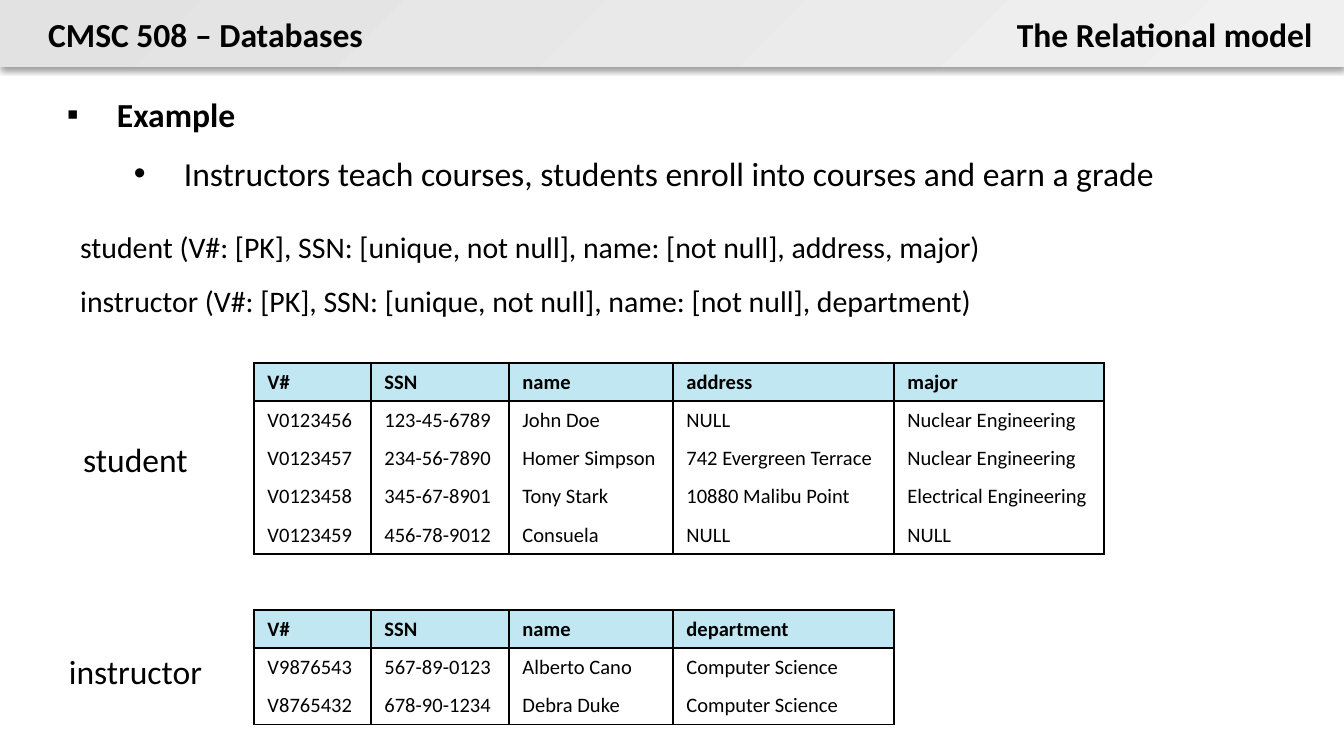
import lxml.etree
import pptx
import pptx.dml.color
import pptx.enum.shapes
import pptx.enum.text
import pptx.oxml.ns
import pptx.util

EMU_PER_PX = 914400 / 134.4
BLACK = "000000"
WHITE = "FFFFFF"
HEADER_BLUE = "C1E8F2"
COLUMN_WIDTHS = [117, 138, 164, 221, 210]
ROW_HEIGHT = 38
TABLE_LEFT = 254

STUDENTS = [
    ["V#", "SSN", "name", "address", "major"],
    ["V0123456", "123-45-6789", "John Doe", "NULL", "Nuclear Engineering"],
    ["V0123457", "234-56-7890", "Homer Simpson", "742 Evergreen Terrace", "Nuclear Engineering"],
    ["V0123458", "345-67-8901", "Tony Stark", "10880 Malibu Point", "Electrical Engineering"],
    ["V0123459", "456-78-9012", "Consuela", "NULL", "NULL"],
]
INSTRUCTORS = [
    ["V#", "SSN", "name", "department"],
    ["V9876543", "567-89-0123", "Alberto Cano", "Computer Science"],
    ["V8765432", "678-90-1234", "Debra Duke", "Computer Science"],
]


def px(length):
    return pptx.util.Emu(round(length * EMU_PER_PX))


def color(hex_string):
    return pptx.dml.color.RGBColor.from_string(hex_string)


def set_attributes(target, values):
    for name, value in values.items():
        setattr(target, name, value)


def add_element(parent, tag, **attributes):
    element = lxml.etree.SubElement(parent, pptx.oxml.ns.qn(tag))
    for name, value in attributes.items():
        element.set(name, str(value))
    return element


class SlideBuilder:
    font_name = "Calibri"
    alignments = {
        "left": pptx.enum.text.PP_ALIGN.LEFT,
        "center": pptx.enum.text.PP_ALIGN.CENTER,
        "right": pptx.enum.text.PP_ALIGN.RIGHT,
    }

    def __init__(self, slide):
        self.slide = slide

    def styled_run(self, paragraph, text, size, bold=False):
        run = paragraph.add_run()
        run.text = text
        set_attributes(run.font, {"name": self.font_name, "size": pptx.util.Pt(size), "bold": bold})
        run.font.color.rgb = color(BLACK)

    def banner(self, left, top, width, height, start, end):
        shape = self.slide.shapes.add_shape(
            pptx.enum.shapes.MSO_SHAPE.RECTANGLE, px(left), px(top), px(width), px(height))
        shape.line.fill.background()
        shape.fill.gradient()
        shape.fill.gradient_angle = 315
        for stop, position, shade in zip(shape.fill.gradient_stops, (0, 1), (start, end)):
            stop.position = position
            stop.color.rgb = color(shade)
        shape.shadow.inherit = False
        effects = shape._element.spPr.find(pptx.oxml.ns.qn("a:effectLst"))
        shadow = add_element(effects, "a:outerShdw", blurRad=pptx.util.Pt(3.1),
                             dist=pptx.util.Pt(1.6), dir=5400000, algn="t", rotWithShape=0)
        shadow_color = add_element(shadow, "a:srgbClr", val=BLACK)
        add_element(shadow_color, "a:alpha", val=38000)

    def text(self, left, top, width, height, lines, size=18, bold=False,
             align="left", wrap=True, space_after=0, margins=None):
        shape = self.slide.shapes.add_textbox(px(left), px(top), px(width), px(height))
        frame = shape.text_frame
        set_attributes(frame, {
            "word_wrap": wrap,
            "auto_size": pptx.enum.text.MSO_AUTO_SIZE.SHAPE_TO_FIT_TEXT,
            **(margins or {}),
        })
        for index, line in enumerate(lines):
            paragraph = frame.paragraphs[0] if index == 0 else frame.add_paragraph()
            set_attributes(paragraph, {
                "alignment": self.alignments[align],
                "space_after": pptx.util.Pt(space_after),
            })
            self.styled_run(paragraph, line, size, bold)
        return frame.paragraphs

    def bullets(self, left, top, width, height, items):
        margins = {"margin_left": px(67), "margin_top": px(27),
                   "margin_right": px(67), "margin_bottom": 0}
        lines = [text for text, symbol, bold in items]
        paragraphs = self.text(left, top, width, height, lines, space_after=10, margins=margins)
        for level, (paragraph, (text, symbol, bold)) in enumerate(zip(paragraphs, items)):
            paragraph.level = level
            paragraph.runs[0].font.bold = bold
            properties = paragraph._p.get_or_add_pPr()
            properties.set("marL", str(px(50 + 67 * level)))
            properties.set("indent", str(px(-50)))
            add_element(properties, "a:buFont", typeface="Arial")
            add_element(properties, "a:buChar", char=symbol)

    def borders(self, cell, visible_sides):
        properties = cell._tc.get_or_add_tcPr()
        for index, side in enumerate("LRTB"):
            line = add_element(properties, f"a:ln{side}", w=pptx.util.Pt(1))
            if side in visible_sides:
                fill = add_element(line, "a:solidFill")
                add_element(fill, "a:srgbClr", val=BLACK)
            else:
                add_element(line, "a:noFill")
            properties.insert(index, line)

    def table(self, left, top, rows):
        widths = COLUMN_WIDTHS[:len(rows[0])]
        frame = self.slide.shapes.add_table(
            len(rows), len(widths), px(left), px(top), px(sum(widths)), px(ROW_HEIGHT * len(rows)))
        table = frame.table
        set_attributes(table, {"first_row": False, "horz_banding": False})
        for column, width in zip(table.columns, widths):
            column.width = px(width)
        last = len(rows) - 1
        for row_index, row in enumerate(rows):
            table.rows[row_index].height = px(ROW_HEIGHT)
            is_header = row_index == 0
            sides = "LR" + ("T" if row_index <= 1 else "") + ("B" if row_index in (0, last) else "")
            for column_index, value in enumerate(row):
                cell = table.cell(row_index, column_index)
                cell.fill.solid()
                cell.fill.fore_color.rgb = color(HEADER_BLUE if is_header else WHITE)
                self.styled_run(cell.text_frame.paragraphs[0], value, 11, is_header)
                self.borders(cell, sides)


def main():
    presentation = pptx.Presentation()
    set_attributes(presentation, {"slide_width": px(1344), "slide_height": px(756)})
    builder = SlideBuilder(presentation.slides.add_slide(presentation.slide_layouts[6]))

    builder.banner(0, 0, 1344, 67, "E2E2E2", "F0F0F0")
    builder.text(35, 7, 345, 54, ["CMSC 508 – Databases"], bold=True, wrap=False)
    builder.text(1001, 7, 325, 54, ["The Relational model"], bold=True, align="right", wrap=False)
    builder.bullets(0, 67, 1344, 246, [
        ("Example", "▪", True),
        ("Instructors teach courses, students enroll into courses and earn a grade", "•", False),
    ])
    builder.text(67, 222, 1240, 105, [
        "student (V#: [PK], SSN: [unique, not null], name: [not null], address, major)",
        "instructor (V#: [PK], SSN: [unique, not null], name: [not null], department)",
    ], size=16, space_after=10)

    for name, rows, table_top, label_top in (
        ("student", STUDENTS, 363, 432),
        ("instructor", INSTRUCTORS, 610, 644),
    ):
        builder.table(TABLE_LEFT, table_top, rows)
        builder.text(9, label_top, 253, 54, [name], align="center")

    presentation.save("out.pptx")


if __name__ == "__main__":
    main()
